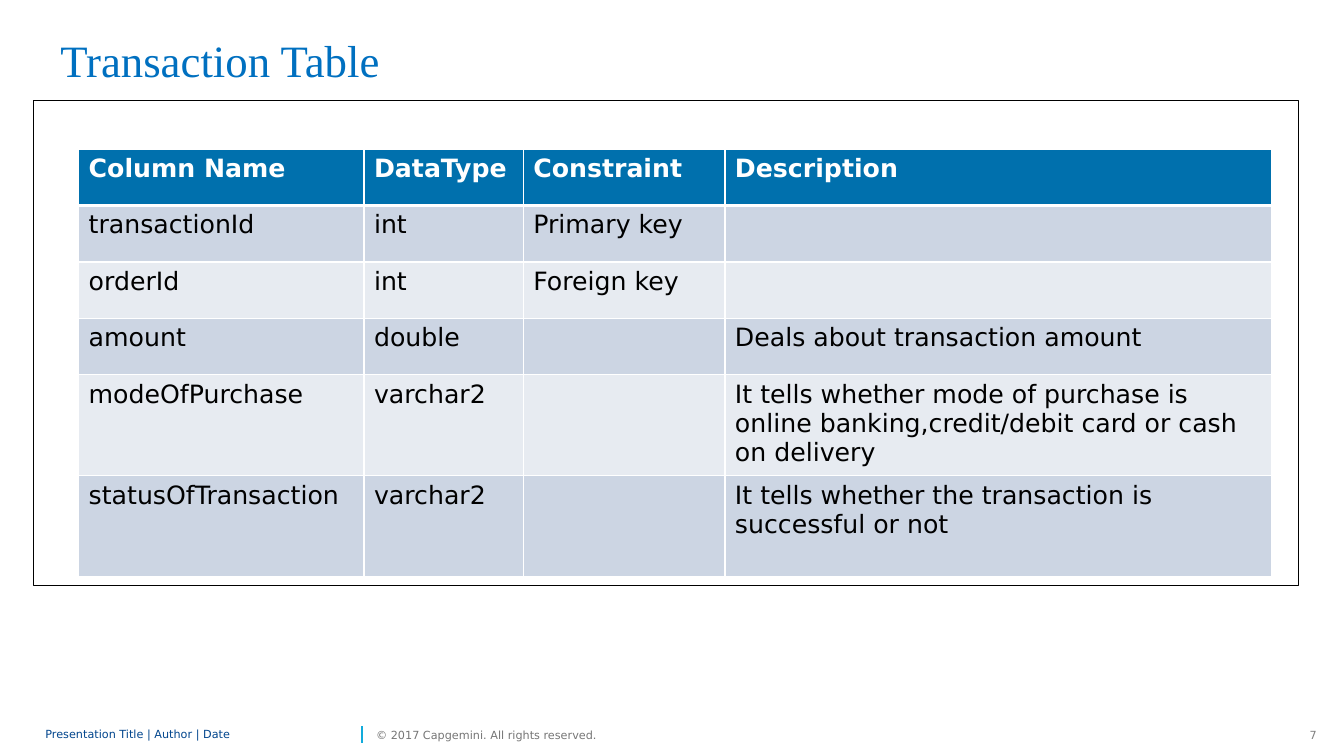
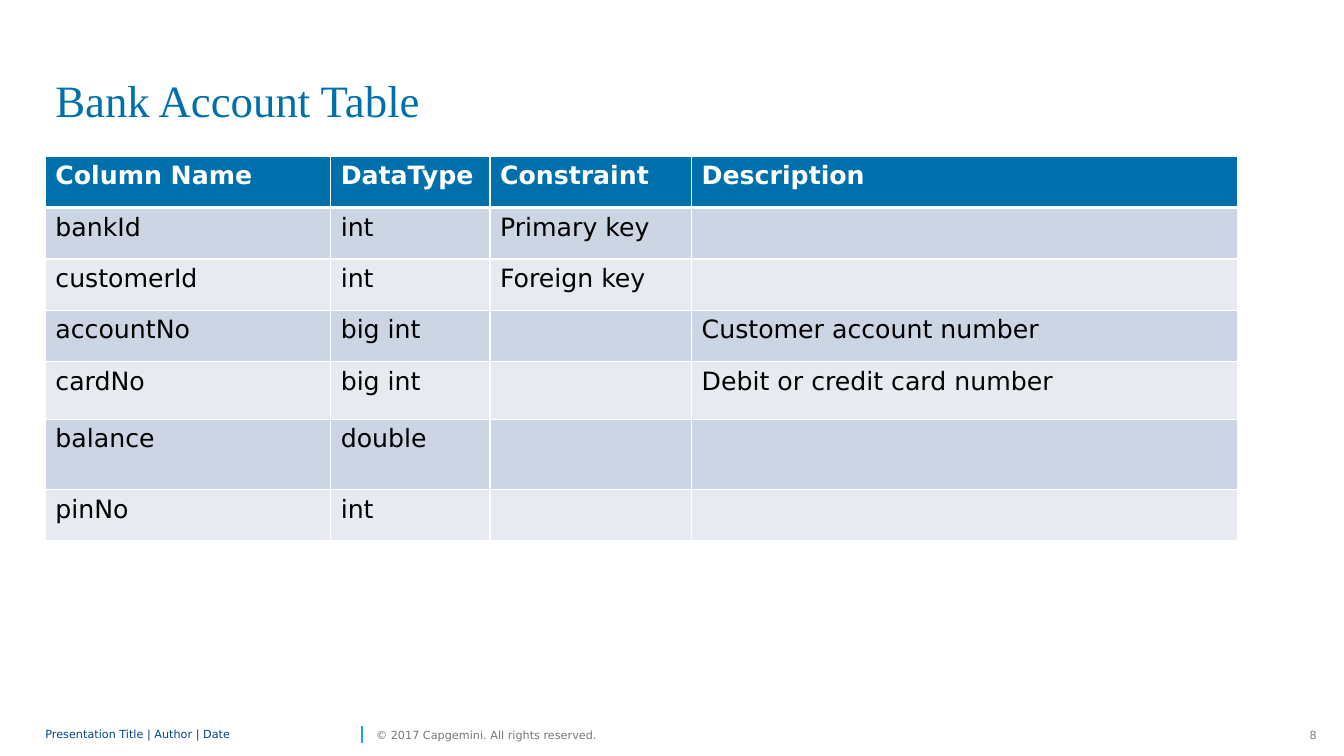
from dataclasses import dataclass

from lxml.etree import SubElement
from pptx import Presentation
from pptx.dml.color import RGBColor
from pptx.enum.shapes import MSO_CONNECTOR, MSO_SHAPE
from pptx.enum.text import MSO_ANCHOR, PP_ALIGN
from pptx.oxml import parse_xml
from pptx.oxml.ns import nsdecls, qn
from pptx.util import Inches, Pt


@dataclass(frozen=True)
class Theme:
    body: str = "DejaVu Sans"
    heading: str = "Times New Roman"
    title_pt: int = 32
    table_pt: int = 18
    footer_pt: int = 8
    blue: str = "0070AD"
    bright_blue: str = "0070C0"
    navy: str = "00458D"
    cyan: str = "12ABDB"
    grey: str = "767676"
    number_grey: str = "808080"
    black: str = "000000"
    white: str = "FFFFFF"
    bands: tuple = ("CCD5E3", "E7EBF1")


T = Theme()

# Content
HEADER = ("Column Name", "DataType", "Constraint", "Description")
COL_WIDTHS = (2.83, 1.58, 2, 5.42)
FOOTER = "Presentation Title | Author | Date"
COPYRIGHT = "© 2017 Capgemini. All rights reserved."
SLIDES = [
    dict(
        number=7, title="Transaction Table", title_at=(0.5, 0.28, 6.3, 0.64),
        title_color=T.bright_blue, frame=(0.33, 1, 12.55, 4.81),
        table_at=(0.78, 1.48), heights=(0.56, 0.56, 0.56, 0.56, 1, 1),
        rows=[
            ("transactionId", "int", "Primary key", ""),
            ("orderId", "int", "Foreign key", ""),
            ("amount", "double", "", "Deals about transaction amount"),
            ("modeOfPurchase", "varchar2", "",
             "It tells whether mode of purchase is online banking,"
             "credit/debit card or cash on delivery"),
            ("statusOfTransaction", "varchar2", "",
             "It tells whether the transaction is successful or not"),
        ],
    ),
    dict(
        number=8, title="Bank Account Table", title_at=(0.45, 0.67, 7.64, 0.64),
        title_color=T.blue, frame=None,
        table_at=(0.45, 1.55), heights=(0.51, 0.51, 0.51, 0.51, 0.57, 0.7, 0.5),
        rows=[
            ("bankId", "int", "Primary key", ""),
            ("customerId", "int", "Foreign key", ""),
            ("accountNo", "big int", "", "Customer account number"),
            ("cardNo", "big int", "", "Debit or credit card number"),
            ("balance", "double", "", ""),
            ("pinNo", "int", "", ""),
        ],
    ),
]


# Text helpers
def add_run(p, text, size, color, font=T.body, bold=False):
    r = p.add_run()
    r.text = text
    r.font.name, r.font.size, r.font.bold = font, Pt(size), bold
    r.font.color.rgb = RGBColor.from_string(color)


def add_text(s, at, text, size, color, font=T.body):
    tf = s.shapes.add_textbox(*map(Inches, at)).text_frame
    tf.word_wrap = True
    add_run(tf.paragraphs[0], text, size, color, font)
    return tf


# Shared footer
def add_footer(s, number):
    items = [
        ((0.45, 7.17, 3.09, 0.24), FOOTER, T.navy, PP_ALIGN.LEFT, 0.85),
        ((3.73, 7.17, 2.43, 0.24), COPYRIGHT, T.grey, PP_ALIGN.LEFT, 1.0),
        ((12.76, 7.17, 0.3, 0.24), str(number), T.number_grey, PP_ALIGN.RIGHT, 1.0),
    ]
    for at, text, color, align, spacing in items:
        tf = add_text(s, at, text, T.footer_pt, color)
        tf.margin_left = tf.margin_right = tf.margin_top = tf.margin_bottom = 0
        tf.vertical_anchor = MSO_ANCHOR.MIDDLE
        p = tf.paragraphs[0]
        p.alignment, p.line_spacing = align, spacing
    x = Inches(3.59)
    line = s.shapes.add_connector(MSO_CONNECTOR.STRAIGHT, x, Inches(7.37), x, Inches(7.2))
    line.line.color.rgb = RGBColor.from_string(T.cyan)
    line.line.width = Pt(1)
    SubElement(line._element.spPr, qn("a:effectLst"))


def add_frame(s, at):
    sp = s.shapes.add_shape(MSO_SHAPE.RECTANGLE, *map(Inches, at))
    sp.shadow.inherit = False
    sp.fill.solid()
    sp.fill.fore_color.rgb = RGBColor.from_string(T.white)
    sp.line.color.rgb = RGBColor.from_string(T.black)
    sp.line.width = Pt(1)


# Table
def set_borders(cell, top, bottom):
    widths = {"lnL": 1, "lnR": 1, "lnT": top, "lnB": bottom}
    tc_pr = cell._tc.get_or_add_tcPr()
    for i, (tag, width) in enumerate(widths.items()):
        tc_pr.insert(i, parse_xml(
            f'<a:{tag} {nsdecls("a")} w="{Pt(width)}"><a:solidFill>'
            f'<a:srgbClr val="{T.white}"/></a:solidFill></a:{tag}>'))


def add_schema_table(s, at, rows, heights):
    rows = [HEADER, *rows]
    size = (sum(COL_WIDTHS), sum(heights))
    table = s.shapes.add_table(
        len(rows), len(HEADER), *map(Inches, (*at, *size))).table
    for column, width in zip(table.columns, COL_WIDTHS):
        column.width = Inches(width)
    for i, (values, height) in enumerate(zip(rows, heights)):
        table.rows[i].height = Inches(height)
        is_header = i == 0
        fill = T.blue if is_header else T.bands[(i - 1) % 2]
        color = T.white if is_header else T.black
        for cell, text in zip(table.rows[i].cells, values):
            cell.fill.solid()
            cell.fill.fore_color.rgb = RGBColor.from_string(fill)
            set_borders(cell, top=3 if i == 1 else 1, bottom=3 if is_header else 1)
            if text:
                add_run(cell.text_frame.paragraphs[0], text, T.table_pt, color,
                        bold=is_header)


def main():
    prs = Presentation()
    prs.slide_width, prs.slide_height = Inches(13.33), Inches(7.5)
    for d in SLIDES:
        s = prs.slides.add_slide(prs.slide_layouts[6])
        add_footer(s, d["number"])
        if d["frame"]:
            add_frame(s, d["frame"])
        add_schema_table(s, d["table_at"], d["rows"], d["heights"])
        add_text(s, d["title_at"], d["title"], T.title_pt, d["title_color"], T.heading)
    prs.save("out.pptx")


if __name__ == "__main__":
    main()
